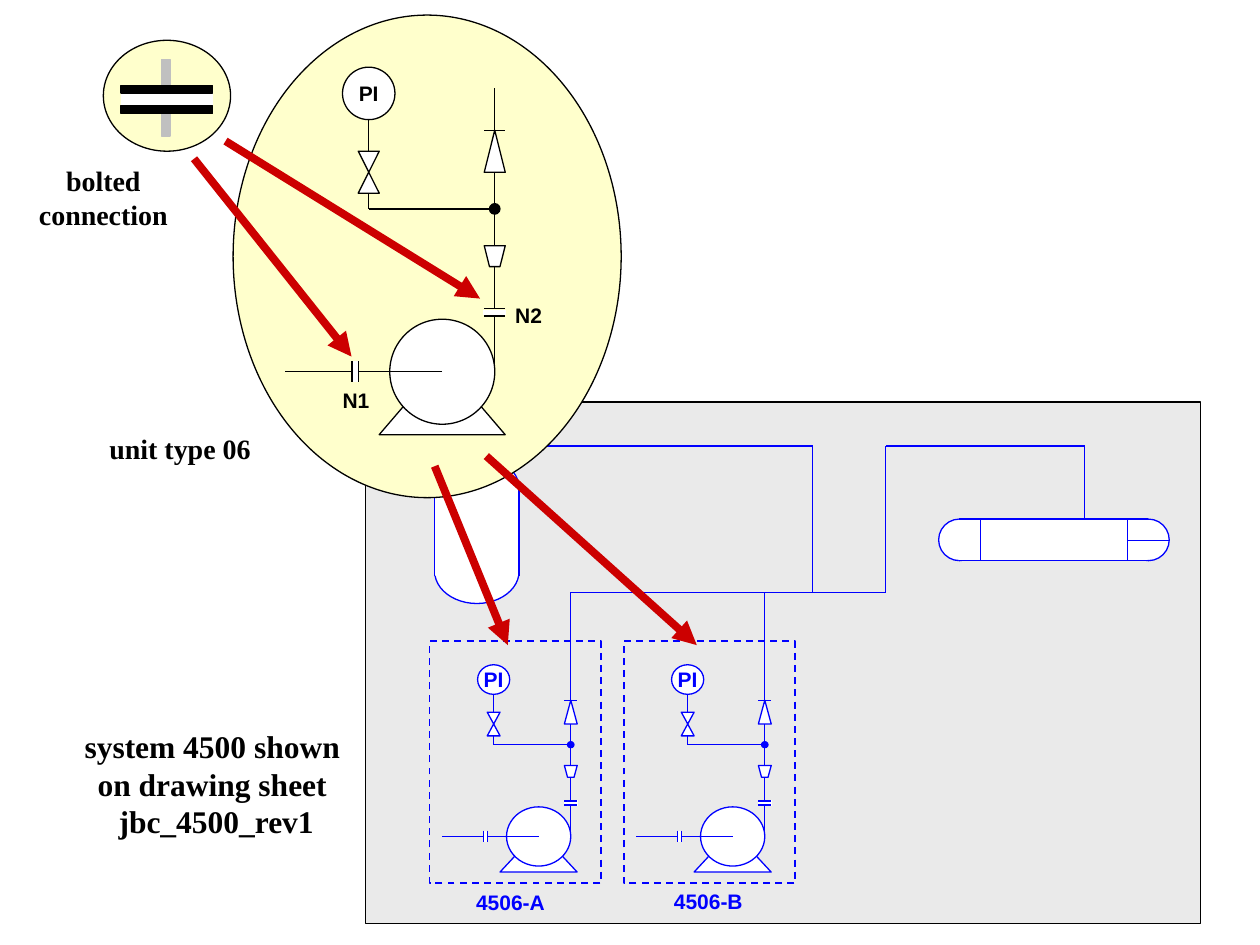
from dataclasses import dataclass
from typing import Any, Optional

from lxml.etree import SubElement
from pptx import Presentation
from pptx.dml.color import RGBColor
from pptx.enum.dml import MSO_LINE as Dash
from pptx.enum.shapes import MSO_CONNECTOR as Link, MSO_SHAPE as Kind
from pptx.enum.text import MSO_ANCHOR as Anchor, MSO_AUTO_SIZE as Fit, PP_ALIGN as Align
from pptx.oxml.ns import qn
from pptx.util import Inches, Pt

BLACK = RGBColor(0x00, 0x00, 0x00)
WHITE = RGBColor(0xFF, 0xFF, 0xFF)
BLUE = RGBColor(0x00, 0x00, 0xFF)
RED = RGBColor(0xCC, 0x00, 0x00)
CREAM = RGBColor(0xFF, 0xFF, 0xCC)
SILVER = RGBColor(0xC0, 0xC0, 0xC0)
SHEET = RGBColor(0xEA, 0xEA, 0xEA)

OVAL, RECT, CONE = Kind.OVAL, Kind.RECTANGLE, Kind.ISOSCELES_TRIANGLE


@dataclass
class Pen:
    """Draws into a shape tree on a grid with its own origin and cell size."""
    shapes: Any
    ink: RGBColor
    left: float = 0
    top: float = 0
    wide: float = 1
    high: float = 1

    def spot(self, x: float, y: float) -> tuple[int, int]:
        return Inches(self.left + x * self.wide), Inches(self.top + y * self.high)

    def style(self, shape: Any, fill: Optional[RGBColor],
              ink: Optional[RGBColor]) -> Any:
        shape.shadow.inherit = False
        if fill is None:
            shape.fill.background()
        else:
            shape.fill.solid()
            shape.fill.fore_color.rgb = fill
        if ink is None:
            shape.line.fill.background()
        else:
            shape.line.color.rgb = ink
            shape.line.width = Pt(0.75)
        return shape

    def bare(self, kind: Kind, x: float, y: float, w: float, h: float,
             fill: Optional[RGBColor] = WHITE, ink: Optional[RGBColor] = None) -> Any:
        size = Inches(w * self.wide), Inches(h * self.high)
        shape = self.shapes.add_shape(kind, *self.spot(x, y), *size)
        return self.style(shape, fill, ink)

    def form(self, kind: Kind, x: float, y: float, w: float, h: float,
             fill: Optional[RGBColor] = WHITE) -> Any:
        return self.bare(kind, x, y, w, h, fill, self.ink)

    def poly(self, *dots: tuple[float, float]) -> None:
        first, *rest = [self.spot(*dot) for dot in dots]
        path = self.shapes.build_freeform(*first)
        path.add_line_segments(rest, close=True)
        self.style(path.convert_to_shape(), WHITE, self.ink)

    def line(self, x1: float, y1: float, x2: float, y2: float,
             ink: Optional[RGBColor] = None, width: float = 0.75) -> Any:
        link = self.shapes.add_connector(
            Link.STRAIGHT, *self.spot(x1, y1), *self.spot(x2, y2))
        link.line.color.rgb = ink or self.ink
        link.line.width = Pt(width)
        SubElement(link._element.spPr, qn("a:effectLst"))
        return link

    def route(self, *dots: tuple[float, float]) -> None:
        for start, end in zip(dots, dots[1:]):
            self.line(*start, *end)

    def arrow(self, x1: float, y1: float, x2: float, y2: float) -> None:
        link = self.line(x1, y1, x2, y2, RED, 4.5)
        SubElement(link.line._get_or_add_ln(), qn("a:tailEnd"), type="triangle")


@dataclass
class Label:
    rows: list[str]
    x: float
    y: float
    w: float
    h: float
    size: int = 12
    face: str = "Arial"
    ink: RGBColor = BLACK
    align: Align = Align.CENTER
    fill: Optional[RGBColor] = None


def write(shape: Any, rows: list[str], size: int, face: str, ink: RGBColor,
          align: Align = Align.CENTER) -> None:
    frame = shape.text_frame
    frame.word_wrap = False
    for i, row in enumerate(rows):
        para = frame.add_paragraph() if i else frame.paragraphs[0]
        para.alignment = align
        run = para.add_run()
        run.text = row
        font = run.font
        font.size, font.name, font.bold = Pt(size), face, True
        font.color.rgb = ink


def put(shapes: Any, label: Label) -> None:
    box = shapes.add_textbox(*map(Inches, (label.x, label.y, label.w, label.h)))
    if label.fill is not None:
        box.fill.solid()
        box.fill.fore_color.rgb = label.fill
    write(box, label.rows, label.size, label.face, label.ink, label.align)
    box.text_frame.auto_size = Fit.SHAPE_TO_FIT_TEXT


def unit(pen: Pen) -> None:
    """Pump with its suction, riser and gauge branch, on a 21 by 33 cell grid."""
    pen.form(CONE, 9, 26, 12, 7)
    pen.line(20, 21, 20, 0)
    pen.line(20, 27, 20, 21.7)
    pen.form(OVAL, 10, 22, 10, 10)
    pen.line(15, 27, 7, 27)
    pen.line(6.4, 27, 0, 27)
    pen.form(OVAL, 19.5, 11, 1, 1, pen.ink)
    pen.form(CONE, 19, 4, 2, 4)
    pen.line(19, 4, 21, 4)
    pen.poly((19, 15), (21, 15), (20.5, 17), (19.5, 17))
    pen.route((20, 11.5), (8, 11.5), (8, 3))
    gauge = pen.form(OVAL, 5.5, -2, 5, 5)
    gauge.text_frame.vertical_anchor = Anchor.MIDDLE
    write(gauge, ["PI"], 12, "Arial", pen.ink)
    pen.form(CONE, 7, 8, 2, 2)
    pen.form(CONE, 7, 6, 2, 2).rotation = 180
    pen.line(18.9, 21.35, 21.1, 21.35, WHITE, 3)
    for y in (21, 21.7):
        pen.line(19, y, 21, y)
    pen.line(6.7, 26, 6.7, 28, WHITE, 3)
    for x in (6.4, 7):
        pen.line(x, 26, x, 28)


def small(shapes: Any, left: float) -> None:
    """Pump unit inside its dashed boundary."""
    group = shapes.add_group_shape().shapes
    frame = Pen(group, BLUE).form(RECT, left - 0.1, 5.09, 1.36, 1.92, None)
    frame.line.width = Pt(1)
    frame.line.dash_style = Dash.DASH
    unit(Pen(group, BLUE, left, 5.37, 0.051, 0.047))


def joint(pen: Pen) -> None:
    """Bolted connection: two flanges with a bolt through them."""
    pen.form(OVAL, 0.82, 0.32, 1.01, 0.88, CREAM)
    pen.bare(RECT, 0.96, 0.72, 0.73, 0.16)
    for bolt, flange in ((0.47, 0.68), (0.84, 0.84)):
        pen.bare(RECT, 1.28, bolt, 0.07, 0.24, SILVER, SILVER)
        pen.form(RECT, 0.96, flange, 0.73, 0.06, BLACK)


def tank(pen: Pen) -> None:
    for y in (3.62, 4.28):
        pen.form(OVAL, 3.45, y, 0.67, 0.51)
    pen.bare(RECT, 3.45, 3.84, 0.67, 0.73)
    for x in (3.45, 4.12):
        pen.line(x, 4.57, x, 3.84)


def main() -> None:
    deck = Presentation()
    deck.slide_width, deck.slide_height = Inches(10), Inches(7.5)
    shapes = deck.slides.add_slide(deck.slide_layouts[6]).shapes
    page, pipe = Pen(shapes, BLACK), Pen(shapes, BLUE)

    page.form(RECT, 2.9, 3.19, 6.63, 4.14, SHEET)
    for x in (7.45, 8.95):
        pipe.form(OVAL, x, 4.12, 0.33, 0.33)
    pipe.bare(RECT, 7.61, 4.12, 1.5, 0.33)
    joint(Pen(shapes.add_group_shape().shapes, BLACK))
    small(shapes, 3.51)

    for x in (4.53, 6.07):
        pipe.line(x, 5.37, x, 4.7)
    pipe.route((4.53, 4.7), (7.03, 4.7), (7.03, 3.54), (8.61, 3.54), (8.61, 4.12))
    for y in (4.12, 4.45):
        pipe.line(7.61, y, 9.11, y)
    for x in (7.78, 8.95):
        pipe.line(x, 4.45, x, 4.12)
    pipe.line(8.95, 4.29, 9.28, 4.29)
    pipe.route((6.45, 4.7), (6.45, 3.54), (4.03, 3.54))
    tank(Pen(shapes.add_group_shape().shapes, BLUE))
    pipe.line(4.03, 3.7, 4.03, 3.54)

    zoom = shapes.add_group_shape().shapes
    Pen(zoom, BLACK).form(OVAL, 1.85, 0.12, 3.08, 3.83, CREAM)
    unit(Pen(zoom, BLACK, 2.26, 0.7, 1 / 12, 1 / 12))
    page.arrow(1.79, 1.12, 3.81, 2.37)
    page.arrow(1.54, 1.26, 2.79, 2.83)
    page.arrow(3.45, 3.7, 4.03, 5.12)
    small(shapes, 5.05)
    page.arrow(3.86, 3.62, 5.53, 5.12)

    serif = "Times New Roman"
    labels = [
        Label(["bolted", "connection"], 0.21, 1.25, 1.22, 0.64, 16, serif, fill=WHITE),
        Label(["unit type 06"], 0.77, 3.38, 1.32, 0.37, 16, serif,
              align=Align.LEFT, fill=WHITE),
        Label(["system 4500 shown", "on drawing sheet", " jbc_4500_rev1"],
              0.57, 5.72, 2.23, 1, 18, serif, fill=WHITE),
        Label(["4506-B"], 5.25, 7, 0.78, 0.3, ink=BLUE, align=Align.LEFT),
        Label(["4506-A"], 3.68, 7.01, 0.78, 0.3, ink=BLUE, align=Align.LEFT),
        Label(["N1"], 2.62, 3.03, 0.41, 0.3),
        Label(["N2"], 3.99, 2.35, 0.41, 0.3),
    ]
    for label in labels:
        put(shapes, label)
    deck.save("out.pptx")


if __name__ == "__main__":
    main()
